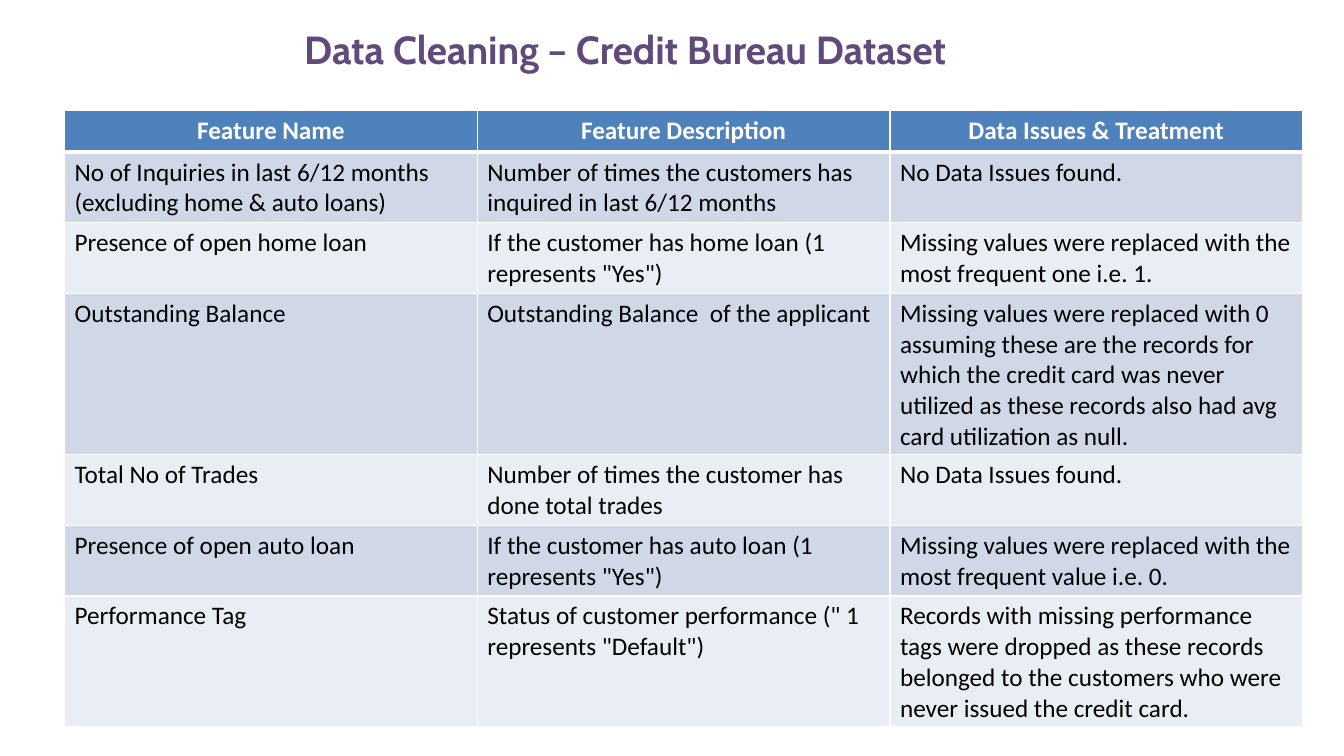
from lxml.etree import SubElement
from pptx import Presentation
from pptx.dml.color import RGBColor
from pptx.enum.text import MSO_AUTO_SIZE as AutoSize, PP_ALIGN as Align
from pptx.oxml.ns import qn
from pptx.util import Inches, Pt

TITLE = "Data Cleaning – Credit Bureau Dataset"
HEADERS = ["Feature Name", "Feature Description", "Data Issues & Treatment"]
FEATURES = [
    ["No of Inquiries in last 6/12 months (excluding home & auto loans)",
     "Number of times the customers has inquired in last 6/12 months",
     "No Data Issues found."],
    ["Presence of open home loan",
     'If the customer has home loan (1 represents "Yes")',
     "Missing values were replaced with the most frequent one i.e. 1."],
    ["Outstanding Balance",
     "Outstanding Balance  of the applicant",
     "Missing values were replaced with 0 assuming these are the records for "
     "which the credit card was never utilized as these records also had avg "
     "card utilization as null."],
    ["Total No of Trades",
     "Number of times the customer has done total trades",
     "No Data Issues found."],
    ["Presence of open auto loan",
     'If the customer has auto loan (1 represents "Yes")',
     "Missing values were replaced with the most frequent value i.e. 0."],
    ["Performance Tag",
     'Status of customer performance (" 1 represents "Default")',
     "Records with missing performance tags were dropped as these records "
     "belonged to the customers who were never issued the credit card."],
]
WHITE = "FFFFFF"
HEADER_FILL = "4F81BD"
BAND_FILLS = ["D0D8E8", "E9EDF4"]


def color(value):
    return RGBColor.from_string(value)


def style_paragraph(paragraph, name, size, value, bold, align):
    paragraph.alignment = align
    font = paragraph.font
    font.name, font.size, font.bold = name, Pt(size), bold
    font.color.rgb = color(value)


def add_title(slide):
    shape = slide.shapes.add_textbox(Inches(2.43), Inches(0.25), Inches(7.54), Inches(0.53))
    frame = shape.text_frame
    frame.word_wrap = False
    frame.auto_size = AutoSize.SHAPE_TO_FIT_TEXT
    frame.text = TITLE
    paragraph = frame.paragraphs[0]
    paragraph.line_spacing = 0.9
    style_paragraph(paragraph, "Cabin", 28, "604A7B", True, Align.CENTER)


def set_borders(cell, top, bottom):
    properties = cell._tc.get_or_add_tcPr()
    for side, width in (("L", 1), ("R", 1), ("T", top), ("B", bottom)):
        line = SubElement(properties, qn(f"a:ln{side}"), w=str(Pt(width)))
        fill = SubElement(line, qn("a:solidFill"))
        SubElement(fill, qn("a:srgbClr"), val=WHITE)


def fill_cell(cell, text, row_index):
    header = row_index == 0
    set_borders(cell, 3 if row_index == 1 else 1, 3 if header else 1)
    cell.fill.solid()
    cell.fill.fore_color.rgb = color(HEADER_FILL if header else BAND_FILLS[(row_index - 1) % 2])
    cell.text = text
    style_paragraph(cell.text_frame.paragraphs[0], "Calibri", 18,
                    WHITE if header else "000000", header,
                    Align.CENTER if header else Align.LEFT)


def add_feature_table(slide):
    rows = [HEADERS] + FEATURES
    height = Inches(6.11)
    shape = slide.shapes.add_table(len(rows), len(HEADERS), Inches(0.64), Inches(1.1),
                                   Inches(12.28), height)
    table = shape.table
    for row_index, texts in enumerate(rows):
        table.rows[row_index].height = Inches(0.41)
        for column_index, text in enumerate(texts):
            fill_cell(table.cell(row_index, column_index), text, row_index)
    shape.height = height


def main():
    presentation = Presentation()
    presentation.slide_width = Inches(13.33)
    presentation.slide_height = Inches(7.5)
    slide = presentation.slides.add_slide(presentation.slide_layouts[6])
    add_title(slide)
    add_feature_table(slide)
    presentation.save("out.pptx")


if __name__ == "__main__":
    main()
